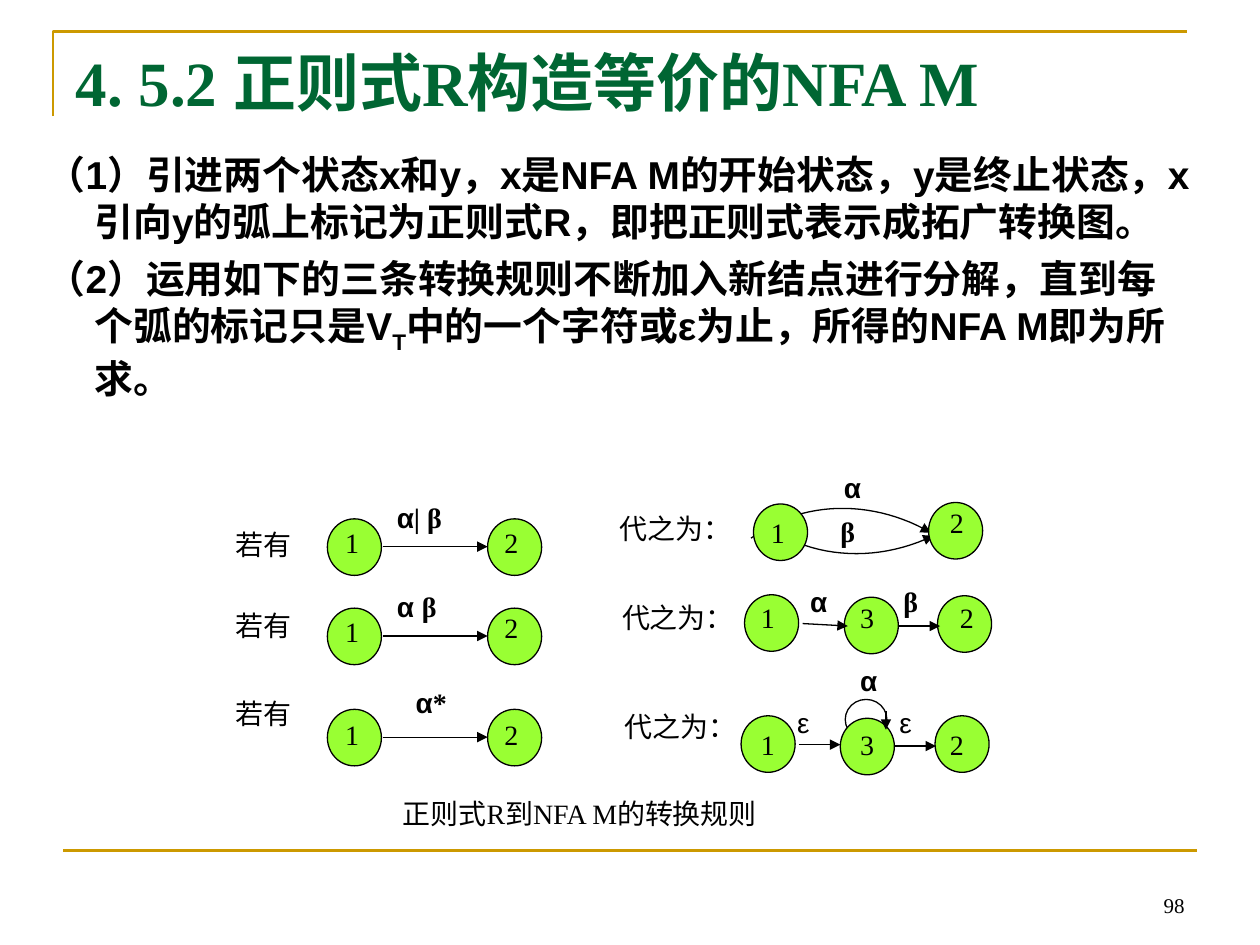
from lxml.etree import SubElement
from pptx import Presentation
from pptx.dml.color import RGBColor
from pptx.enum.shapes import MSO_CONNECTOR, MSO_SHAPE
from pptx.enum.text import MSO_ANCHOR, MSO_AUTO_SIZE, PP_ALIGN
from pptx.oxml.ns import qn
from pptx.util import Cm, Pt

GOLD = RGBColor(0xCC, 0x99, 0x00)
GREEN = RGBColor(0x00, 0x66, 0x33)
LIME = RGBColor(0x99, 0xFF, 0x33)
BLACK = RGBColor(0, 0, 0)
WHITE = RGBColor(0xFF, 0xFF, 0xFF)

TITLE = {"name": "Times New Roman", "size": Pt(36), "bold": True, "color": GREEN}
BODY = {"name": "Arial", "size": Pt(22.2), "bold": True, "color": BLACK}
SERIF = {"name": "Times New Roman", "size": Pt(16), "bold": False, "color": BLACK}
SERIF_BOLD = {**SERIF, "bold": True}
SANS = {**SERIF, "name": "Arial"}
SANS_BOLD = {**SANS, "bold": True}
NUMBER = {**SERIF, "size": Pt(12)}


def add_runs(p, *runs):
    """Append (text, format) runs to a paragraph."""
    for text, fmt in runs:
        r = p.add_run()
        r.text = text
        for key, value in fmt.items():
            if key == "color":
                r.font.color.rgb = value
            else:
                setattr(r.font, key, value)


def stroke(shape, color=BLACK, width=0.75, arrow=False):
    """Set the outline, drop the shadow and add an arrowhead if wanted."""
    shape.line.color.rgb = color
    shape.line.width = Pt(width)
    spPr = shape._element.spPr
    if arrow:
        SubElement(spPr.find(qn("a:ln")), qn("a:tailEnd"), type="triangle")
    SubElement(spPr, qn("a:effectLst"))


prs = Presentation()
prs.slide_width, prs.slide_height = Cm(25.4), Cm(19.05)
s = prs.slides.add_slide(prs.slide_layouts[1])
shapes = s.shapes

# Title and body
title, body = s.placeholders
for sp, box, anchor in [
    (title, (1.27, 0.76, 22.86, 1.75), MSO_ANCHOR.MIDDLE),
    (body, (0.69, 2.92, 23.62, 6.6), MSO_ANCHOR.TOP),
]:
    sp.left, sp.top, sp.width, sp.height = map(Cm, box)
    sp.text_frame.auto_size = MSO_AUTO_SIZE.NONE
    sp.text_frame.vertical_anchor = anchor

p = title.text_frame.paragraphs[0]
p.alignment = PP_ALIGN.LEFT
add_runs(p, ("4. 5.2 正则式R构造等价的NFA M", TITLE))

steps = [
    [("（1）引进两个状态x和y，x是NFA M的开始状态，y是终止状态，x引向y的弧上标记为"
      "正则式R，即把正则式表示成拓广转换图。", BODY)],
    [("（2）运用如下的三条转换规则不断加入新结点进行分解，直到每个弧的标记只是V", BODY),
     ("T", BODY),
     ("中的一个字符或ε为止，所得的NFA M即为所求。", BODY)],
]
tf = body.text_frame
for i, runs in enumerate(steps):
    p = tf.add_paragraph() if i else tf.paragraphs[0]
    pPr = p._p.get_or_add_pPr()
    pPr.set("marL", str(Cm(0.96)))
    pPr.set("indent", str(-Cm(0.96)))
    SubElement(pPr, qn("a:buNone"))
    p.space_before = Pt(6 * i)
    add_runs(p, *runs)
tf.paragraphs[1].runs[1].font._element.set("baseline", "-25000")

# Gold frame, and the two arcs of the alternative rule
arcs = [
    ([(15.14, 10.85)], [(15.37, 10.69), (16.38, 10.08), (17.68, 10.11), (18.77, 10.74)]),
    ([], [(15.29, 10.49), (16.26, 11.25), (17.6, 11.38), (18.82, 10.8)]),
]
outlines = [([(1.07, 2.34), (1.07, 0.64), (23.93, 0.64)], GOLD, 1.5, False)]
for lead, controls in arcs:
    points = list(lead)
    for step in range(25):
        t = step / 24
        weights = ((1 - t) ** 3, 3 * t * (1 - t) ** 2, 3 * t * t * (1 - t), t ** 3)
        points.append(tuple(sum(w * c[axis] for w, c in zip(weights, controls))
                            for axis in (0, 1)))
    outlines.append((points, BLACK, 0.75, True))
for points, color, width, arrow in outlines:
    start, *rest = [(Cm(x), Cm(y)) for x, y in points]
    builder = shapes.build_freeform(*start)
    builder.add_line_segments(rest, close=False)
    sp = builder.convert_to_shape()
    sp.fill.background()
    stroke(sp, color, width, arrow)

# States of the right column: digit, circle left and top, digit left and top
states = [
    ("1", 15.19, 10.16, 15.29, 10.26),
    ("2", 18.72, 10.13, 18.9, 10.06),
    ("1", 15.01, 11.99, 15.09, 11.99),
    ("3", 17.02, 12.04, 17.09, 11.99),
    ("2", 18.9, 12.01, 19.1, 11.99),
    ("1", 14.94, 14.43, 15.09, 14.55),
    ("3", 16.94, 14.48, 17.09, 14.55),
    ("2", 18.85, 14.43, 18.9, 14.55),
]
arrows = [
    (16.18, 12.57, 17.09, 12.62), (18.11, 12.62, 18.95, 12.62),
    (16.1, 15.01, 16.94, 15.01), (18.03, 15.04, 18.87, 15.04),
    (17.86, 14.33, 17.86, 14.71),
]
heads = [(16.56, 10.19), (16.38, 12.01), (16.31, 14.45)]

# Labels: left, top, width, runs
labels = [
    (16.76, 9.37, 1.27, [("α", SANS_BOLD)]),
    (16.69, 10.24, 1.68, [("β", SERIF_BOLD)]),
    (16.08, 11.66, 1.19, [("α", SANS_BOLD)]),
    (17.96, 11.66, 1.68, [("β", SERIF_BOLD)]),
    (17.09, 13.26, 0.84, [("α", SANS_BOLD)]),
    (15.82, 14.1, 1.27, [("ε", SANS)]),
    (17.88, 14.1, 1.68, [("ε", SANS)]),
    (7.75, 9.96, 1.8, [("α", SANS_BOLD), ("| β", SERIF_BOLD)]),
    (7.75, 11.76, 1.8, [("α ", SANS_BOLD), ("β", SERIF_BOLD)]),
    (8.13, 13.69, 2.64, [("α", SANS_BOLD), ("*", SERIF_BOLD)]),
    (7.87, 15.93, 9.68, [("正则式R到NFA M的转换规则", SERIF)]),
]
for x, y in [(12.24, 10.19), (12.29, 11.99), (12.34, 14.17)]:
    labels.append((x, y, 2.9, [("代之为：", SERIF)]))

# Left column: circle top, tops of digits 1 and 2, top of the caption
for top, one_top, two_top, if_top in [
    (10.46, 10.46, 10.46, 10.52),
    (12.26, 12.26, 12.19, 12.14),
    (14.3, 14.35, 14.35, 13.92),
]:
    states += [("1", 6.6, top, 6.71, one_top), ("2", 9.83, top, 9.92, two_top)]
    arrows.append((7.72, top + 0.56, 9.83, top + 0.56))
    heads.append((7.75, top + 0.05))
    labels.append((4.5, if_top, 2.11, [("若有", SERIF)]))

# Self-loop first, so that its state covers it
circles = [(17.04, 14.1, 0.84, 0.81, WHITE)]
for digit, x, y, digit_x, digit_y in states:
    circles.append((x, y, 1.09, 1.14, LIME))
    labels.append((digit_x, digit_y, 1.09, [(digit, SERIF)]))
for *box, color in circles:
    sp = shapes.add_shape(MSO_SHAPE.OVAL, *map(Cm, box))
    sp.fill.solid()
    sp.fill.fore_color.rgb = color
    stroke(sp)

lines = [((1.27, 17.15, 24.13, 17.15), GOLD, 1.5, False)]
lines += [(ends, BLACK, 0.75, True) for ends in arrows]
lines += [((x, y, x, y), BLACK, 0.75, True) for x, y in heads]
for ends, color, width, arrow in lines:
    line = shapes.add_connector(MSO_CONNECTOR.STRAIGHT, *map(Cm, ends))
    stroke(line, color, width, arrow)

for x, y, width, runs in labels:
    tf = shapes.add_textbox(Cm(x), Cm(y), Cm(width), Cm(1.19)).text_frame
    tf.word_wrap = True
    tf.paragraphs[0].alignment = PP_ALIGN.JUSTIFY
    add_runs(tf.paragraphs[0], *runs)

# Slide number
tf = shapes.add_textbox(Cm(18.21), Cm(17.35), Cm(5.92), Cm(1.27)).text_frame
tf.word_wrap = True
tf.vertical_anchor = MSO_ANCHOR.BOTTOM
tf.paragraphs[0].alignment = PP_ALIGN.RIGHT
add_runs(tf.paragraphs[0], ("98", NUMBER))

prs.save("out.pptx")
